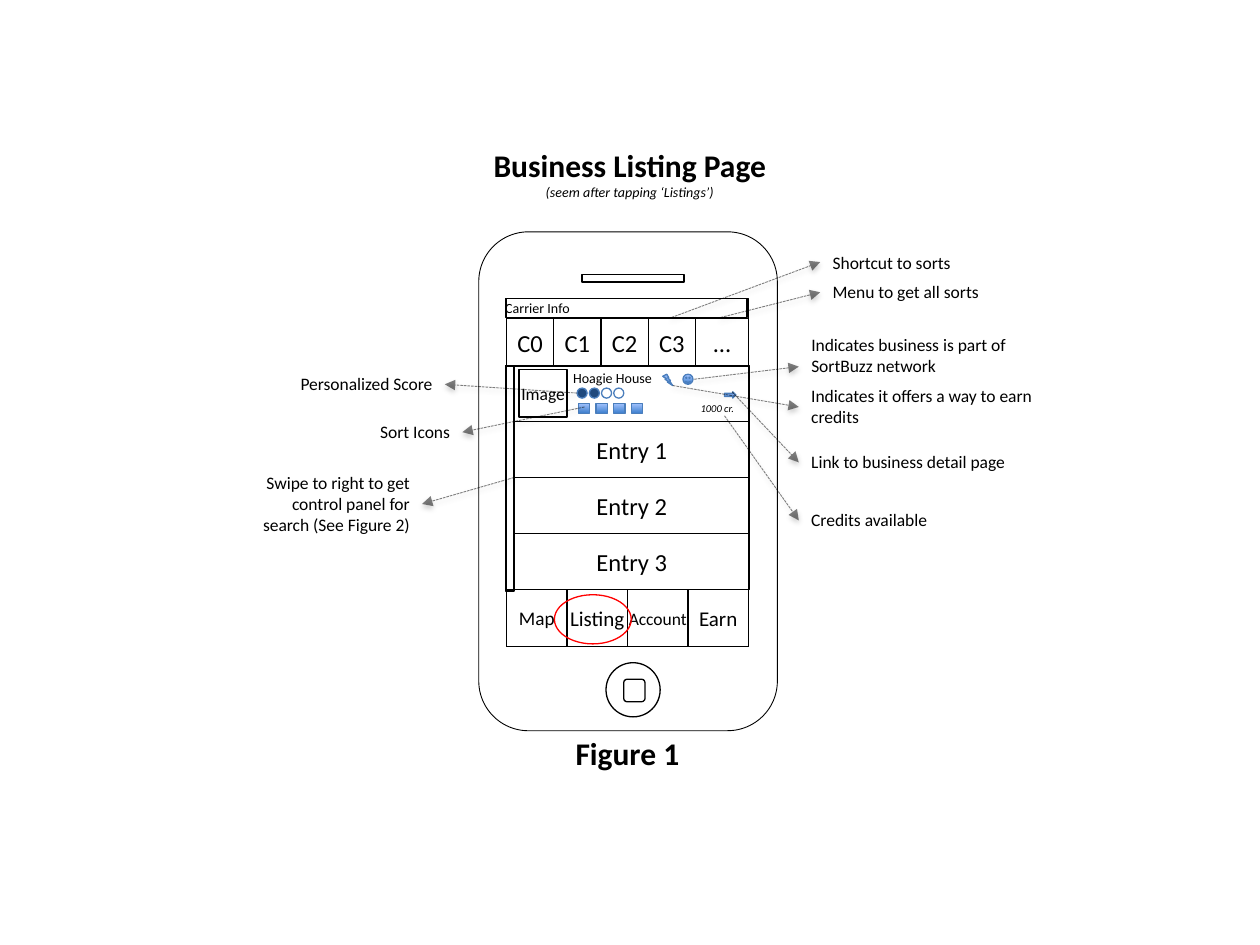
from lxml import etree
from pptx import Presentation, util as u
from pptx.dml.color import RGBColor
from pptx.enum import dml, shapes, text
from pptx.oxml import parse_xml
from pptx.oxml.ns import nsdecls, qn

COLORS = {"ink": "000000", "paper": "FFFFFF", "navy": "1F497D", "edge": "4B7EBC",
          "deep": "3F80CE", "light": "A4C4FF", "mark": "FF0000"}
G = shapes.MSO_SHAPE
AL = text.PP_ALIGN
LEFT, BODY, ENTRY_H, TAB_W, SORT_W = 4.02, 4.08, 0.445, 0.48, 0.375


def rgb(name):
    """Look up a named colour."""
    return RGBColor.from_string(COLORS[name])


def write(tf, words, size=10, align=AL.LEFT, bold=False, italic=False, more=False):
    """Put one formatted paragraph in a text frame."""
    p = tf.add_paragraph() if more else tf.paragraphs[0]
    p.alignment = align
    p.space_before = u.Pt(0)
    r = p.add_run()
    r.text = words
    r.font.name, r.font.size = "Calibri", u.Pt(size)
    r.font.bold, r.font.italic = bold, italic
    r.font.color.rgb = rgb("ink")


def insets(tf, left=0.1, top=0.05, right=0.1, bottom=0.05):
    """Set text frame margins in inches."""
    tf.margin_left, tf.margin_top = u.Inches(left), u.Inches(top)
    tf.margin_right, tf.margin_bottom = u.Inches(right), u.Inches(bottom)


def draw(parent, kind, box, words="", fill=None, line="ink", weight=0.75,
         align=AL.CENTER, size=14):
    """Add a preset shape with an outline and an optional label."""
    sp = parent.add_shape(kind, *map(u.Inches, box))
    sp.shadow.inherit = False
    sp.line.color.rgb, sp.line.width = rgb(line), u.Pt(weight)
    if fill == "gradient":
        sp.fill.gradient()
        sp.fill.gradient_angle = 90
        for stop, name in zip(sp.fill.gradient_stops, ("deep", "light")):
            stop.color.rgb = rgb(name)
            stop.position = float(name == "light")
    elif fill:
        sp.fill.solid()
        sp.fill.fore_color.rgb = rgb(fill)
    else:
        sp.fill.background()
    if words:
        tf = sp.text_frame
        tf.word_wrap = True
        tf.vertical_anchor = text.MSO_ANCHOR.MIDDLE
        insets(tf, left=0, right=0)
        write(tf, words, size, align)
    return sp


def label(s, box, words, wrap=True, margins=None, **fmt):
    """Add a text box."""
    tf = s.shapes.add_textbox(*map(u.Inches, box)).text_frame
    tf.word_wrap = wrap
    insets(tf, **(margins or {}))
    write(tf, words, **fmt)


def pointer(s, x1, y1, x2, y2):
    """Add a dashed translucent arrow with a soft shadow."""
    c = s.shapes.add_connector(shapes.MSO_CONNECTOR.STRAIGHT,
                               *map(u.Inches, (x1, y1, x2, y2)))
    c.line.color.rgb, c.line.width = rgb("ink"), u.Pt(0.5)
    c.line.dash_style = dml.MSO_LINE.SQUARE_DOT
    ln = c.line._get_or_add_ln()
    ln.find(qn("a:prstDash")).set("val", "sysDash")
    etree.SubElement(ln.find(".//" + qn("a:srgbClr")), qn("a:alpha"), val="50000")
    etree.SubElement(ln, qn("a:tailEnd"), type="triangle")
    c._element.spPr.append(parse_xml(
        f'<a:effectLst {nsdecls("a")}><a:outerShdw blurRad="{u.Pt(3.1)}" '
        f'dist="{u.Pt(1.6)}" dir="5400000" rotWithShape="0">'
        f'<a:srgbClr val="{COLORS["ink"]}"><a:alpha val="38000"/></a:srgbClr>'
        '</a:outerShdw></a:effectLst>'))


def heading(s):
    """Place the title with its subtitle line."""
    sp = s.shapes.title
    sp.left, sp.top, sp.width, sp.height = map(u.Inches, (3.15, 1.11, 3.7, 0.54))
    tf = sp.text_frame
    tf.auto_size, tf.word_wrap = text.MSO_AUTO_SIZE.NONE, True
    tf.vertical_anchor = text.MSO_ANCHOR.TOP
    insets(tf)
    write(tf, "Business Listing Page", 18, AL.CENTER, bold=True)
    write(tf, "(seem after tapping ‘Listings’)", 8, AL.CENTER, italic=True, more=True)


def phone(s):
    """Draw the handset around the screen."""
    draw(s.shapes, G.ROUNDED_RECTANGLE, (3.8, 1.84, 2.37, 3.96), weight=0.5)
    draw(s.shapes, G.OVAL, (4.81, 5.26, 0.43, 0.43))
    draw(s.shapes, G.ROUNDED_RECTANGLE, (4.95, 5.39, 0.17, 0.18))
    draw(s.shapes, G.RECTANGLE, (4.62, 2.18, 0.81, 0.06))


def screen(s):
    """Draw the bars, tabs and entry rows of the screen."""
    draw(s.shapes, G.RECTANGLE, (LEFT, 2.37, 1.92, 2.76))
    draw(s.shapes, G.RECTANGLE, (4.01, 2.37, 1.92, 0.15), "Carrier Info",
         align=AL.LEFT, size=8)
    for i, name in enumerate(("C0", "C1", "C2", "C3", "…")):
        width = 0.42 if name == "…" else SORT_W
        draw(s.shapes, G.RECTANGLE, (LEFT + i * SORT_W, 2.53, width, 0.38), name)
    tabs = (("Map", 11), ("Listing", 12), ("Account", 10), ("Earn", 12))
    for i, (name, size) in enumerate(tabs):
        draw(s.shapes, G.RECTANGLE, (LEFT + i * TAB_W, 4.68, TAB_W, 0.45), name, size=size)
    for i, name in enumerate(("", "Entry 1", "Entry 2", "Entry 3")):
        draw(s.shapes, G.RECTANGLE, (BODY, 2.9 + i * ENTRY_H, 1.87, ENTRY_H), name)
    draw(s.shapes, G.RECTANGLE, (4.01, 2.9, 0.07, 1.79))
    draw(s.shapes, G.OVAL, (4.4, 4.72, 0.61, 0.39), line="mark")


def listing(s):
    """Fill the first row with its image, score, icons and credits."""
    draw(s.shapes, G.RECTANGLE, (4.12, 2.93, 0.38, 0.38), "Image", size=10)
    label(s, (4.45, 2.88, 0.81, 0.24), "Hoagie House", wrap=False,
          margins={"right": 0}, size=8)
    score, sorts = s.shapes.add_group_shape(), s.shapes.add_group_shape()
    for i in range(4):
        draw(score.shapes, G.OVAL, (4.58 + i * 0.097, 3.08, 0.08, 0.08),
             fill="navy" if i < 2 else "paper", line="edge")
        draw(sorts.shapes, G.RECTANGLE, (4.59 + i * 0.14, 3.2, 0.09, 0.08),
             fill="gradient", line="edge")
    icons = ((G.LIGHTNING_BOLT, (5.26, 2.97, 0.08, 0.09)),
             (G.RIGHT_ARROW, (5.75, 3.11, 0.09, 0.05)),
             (G.SMILEY_FACE, (5.42, 2.97, 0.08, 0.08)))
    for kind, box in icons:
        draw(s.shapes, kind, box, fill="gradient", line="edge")
    label(s, (5.56, 3.19, 0.38, 0.1), "1000 cr.",
          margins=dict.fromkeys(("left", "top", "right", "bottom"), 0),
          size=6, italic=True)


def callouts(s):
    """Add each note and the arrow that leads to it."""
    notes = (
        ("Shortcut to sorts", (6.51, 1.95, 1.96, 0.27), (5.33, 2.52), 2.08),
        ("Menu to get all sorts", (6.51, 2.18, 1.96, 0.27), (5.72, 2.52), 2.32),
        ("Indicates business is part of SortBuzz network",
         (6.34, 2.6, 1.82, 0.61), (5.51, 3.01), 2.91),
        ("Indicates it offers a way to earn credits",
         (6.34, 3.01, 2.34, 0.44), (5.34, 3.06), 3.23),
        ("Link to business detail page", (6.34, 3.53, 1.96, 0.27), (5.81, 3.11), 3.67),
        ("Credits available", (6.34, 3.99, 1.96, 0.27), (5.75, 3.3), 4.13),
        ("Personalized Score", (1.57, 2.91, 1.96, 0.27), (4.58, 3.12), 3.05),
        ("Sort Icons", (1.71, 3.29, 1.96, 0.27), (4.64, 3.23), 3.43),
        ("Swipe to right to get control panel for search (See Figure 2)",
         (1.95, 3.7, 1.4, 0.61), (BODY, 3.79), 4),
    )
    for words, box, (x, y), end_y in notes:
        on_left = box[0] < x - 2
        on_left = box[0] < LEFT
        pointer(s, x, y, box[0] + box[2] if on_left else box[0], end_y)
        label(s, box, words, align=AL.RIGHT if on_left else AL.LEFT)


def main():
    """Build the slide and save it."""
    prs = Presentation()
    prs.slide_width, prs.slide_height = u.Inches(10), u.Inches(7.5)
    s = prs.slides.add_slide(prs.slide_layouts[5])
    heading(s)
    screen(s)
    listing(s)
    callouts(s)
    phone(s)
    label(s, (3.13, 5.78, 3.7, 0.61), "Figure 1", size=18, align=AL.CENTER, bold=True)
    prs.save("out.pptx")


if __name__ == "__main__":
    main()
